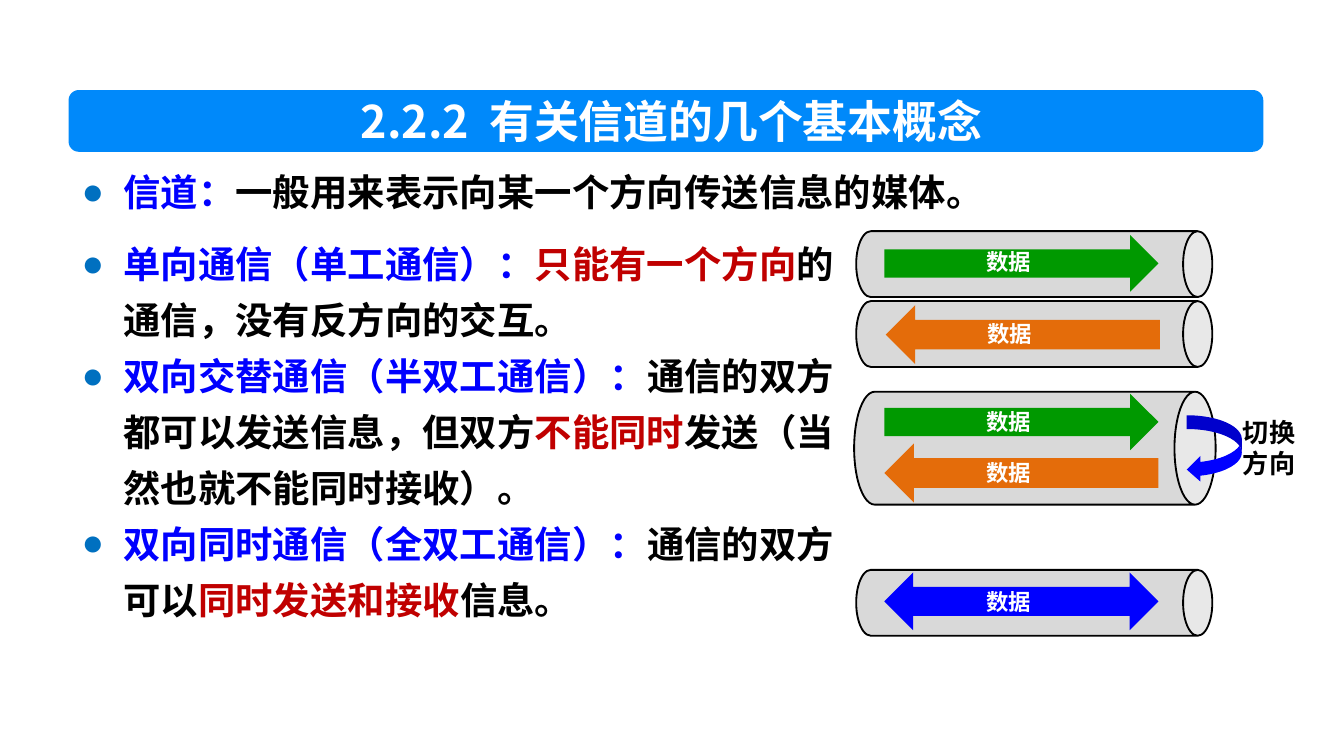
from lxml import etree
from pptx import Presentation
from pptx import util as u
from pptx.dml.color import RGBColor
from pptx.enum import shapes, text
from pptx.oxml.ns import qn

FONT = "Noto Sans CJK SC"
BULLET_FONT = "Arial"
WHITE = RGBColor(0xFF, 0xFF, 0xFF)
BLACK = RGBColor(0, 0, 0)
BANNER = RGBColor(0x00, 0x89, 0xFA)
BLUE = RGBColor(0x00, 0x00, 0xFF)
RED = RGBColor(0xC0, 0x00, 0x00)
GREY = RGBColor(0xD9, 0xD9, 0xD9)
GREEN = RGBColor(0x00, 0x99, 0x00)
ORANGE = RGBColor(0xE4, 0x6C, 0x0A)
BULLET = RGBColor(0x00, 0x70, 0xC0)
SHAPE = shapes.MSO_SHAPE

# Widescreen page, 16:9
deck = Presentation()
deck.slide_width, deck.slide_height = u.Inches(10), u.Inches(10 * 9 / 16)
page = deck.slides.add_slide(deck.slide_layouts[6])


def add_figure(kind, place, fill, adjustments=(), outline=None):
    figure = page.shapes.add_shape(kind, *map(u.Inches, place))
    figure.shadow.inherit = False
    figure.fill.solid()
    figure.fill.fore_color.rgb = fill
    for index, value in enumerate(adjustments):
        figure.adjustments[index] = value
    if outline is None:
        figure.line.fill.background()
    else:
        figure.line.color.rgb = outline
        figure.line.width = u.Pt(1)
    return figure


def add_text(place, paragraphs, size, wrap=True, bullets=False, **frame_format):
    """Each paragraph is a list of (wording, colour) pairs."""
    box = page.shapes.add_textbox(*map(u.Inches, place))
    frame = box.text_frame
    for name, value in {"word_wrap": wrap, **frame_format}.items():
        setattr(frame, name, value)
    for number, spans in enumerate(paragraphs):
        para = frame.add_paragraph() if number else frame.paragraphs[0]
        if bullets:
            props = para._p.get_or_add_pPr()
            props.set("marL", str(u.Inches(0.31)))
            props.set("indent", str(-u.Inches(0.31)))
            colour_mark = etree.SubElement(props, qn("a:buClr"))
            etree.SubElement(colour_mark, qn("a:srgbClr"), val=str(BULLET))
            etree.SubElement(props, qn("a:buFont"), typeface=BULLET_FONT)
            etree.SubElement(props, qn("a:buChar"), char="●")
            para.line_spacing = u.Pt(30)
        for wording, colour in spans:
            span = para.add_run()
            span.text = wording
            for name, value in {"name": FONT, "size": u.Pt(size), "bold": True}.items():
                setattr(span.font, name, value)
            span.font.color.rgb = colour
            run_props = span._r.get_or_add_rPr()
            run_props.set("lang", "zh-CN")
            etree.SubElement(run_props, qn("a:ea"), typeface=FONT)
    return box


# Title banner
add_figure(SHAPE.ROUNDED_RECTANGLE, (0.51, 0.67, 8.89, 0.46), BANNER, [0.167])
title = add_text((1.37, 0.7, 7.25, 0.4), [[("2.2.2  有关信道的几个基本概念", WHITE)]], 24,
                 vertical_anchor=text.MSO_ANCHOR.MIDDLE)
title.text_frame.paragraphs[0].alignment = text.PP_ALIGN.CENTER

# Definitions
add_text((0.51, 1.13, 8.86, 3.47), [
    [("信道：", BLUE), ("一般用来表示向某一个方向传送信息的媒体。", BLACK)],
], 20, bullets=True)
add_text((0.51, 1.66, 5.96, 3.47), [
    [("单向通信（单工通信）：", BLUE), ("只能有一个方向", RED),
     ("的通信，没有反方向的交互。", BLACK)],
    [("双向交替通信（半双工通信）：", BLUE), ("通信的双方都可以发送信息，但双方", BLACK),
     ("不能同时", RED), ("发送（当然也就不能同时接收）。", BLACK)],
    [("双向同时通信（全双工通信）：", BLUE), ("通信的双方可以", BLACK),
     ("同时发送和接收", RED), ("信息。", BLACK)],
], 20, bullets=True)

# Channels: upright cans turned on their side
for left, top, width, height, rim in [
    (7.45, 0.64, 0.49, 2.65, 0.444),
    (7.45, 1.16, 0.49, 2.65, 0.444),
    (7.28, 1.99, 0.84, 2.69, 0.365),
    (7.45, 3.16, 0.49, 2.65, 0.444),
]:
    can = add_figure(SHAPE.CAN, (left, top, width, height), GREY, [rim], BLACK)
    can.rotation = 90

# Direction switch beside the half-duplex channel
add_figure(SHAPE.CURVED_LEFT_ARROW, (8.83, 3.09, 0.41, 0.5), BLUE, [0.25, 0.467, 0.25])
add_text((9.15, 3.05, 0.59, 0.57), [[("切换", BLACK)], [("方向", BLACK)]], 14, wrap=False)

# Data arrows, each with its label
for kind, left, top, height, colour, label_top in [
    (SHAPE.RIGHT_ARROW, 6.58, 1.75, 0.42, GREEN, 1.8),
    (SHAPE.LEFT_ARROW, 6.59, 2.27, 0.44, ORANGE, 2.33),
    (SHAPE.RIGHT_ARROW, 6.58, 2.93, 0.42, GREEN, 2.99),
    (SHAPE.LEFT_ARROW, 6.58, 3.3, 0.44, ORANGE, 3.37),
    (SHAPE.LEFT_RIGHT_ARROW, 6.58, 4.26, 0.43, BLUE, 4.33),
]:
    add_figure(kind, (left, top, 2.04, height), colour)
    add_text((left + 0.66, label_top, 0.54, 0.3), [[("数据", WHITE)]], 12, wrap=False)

deck.save("out.pptx")
